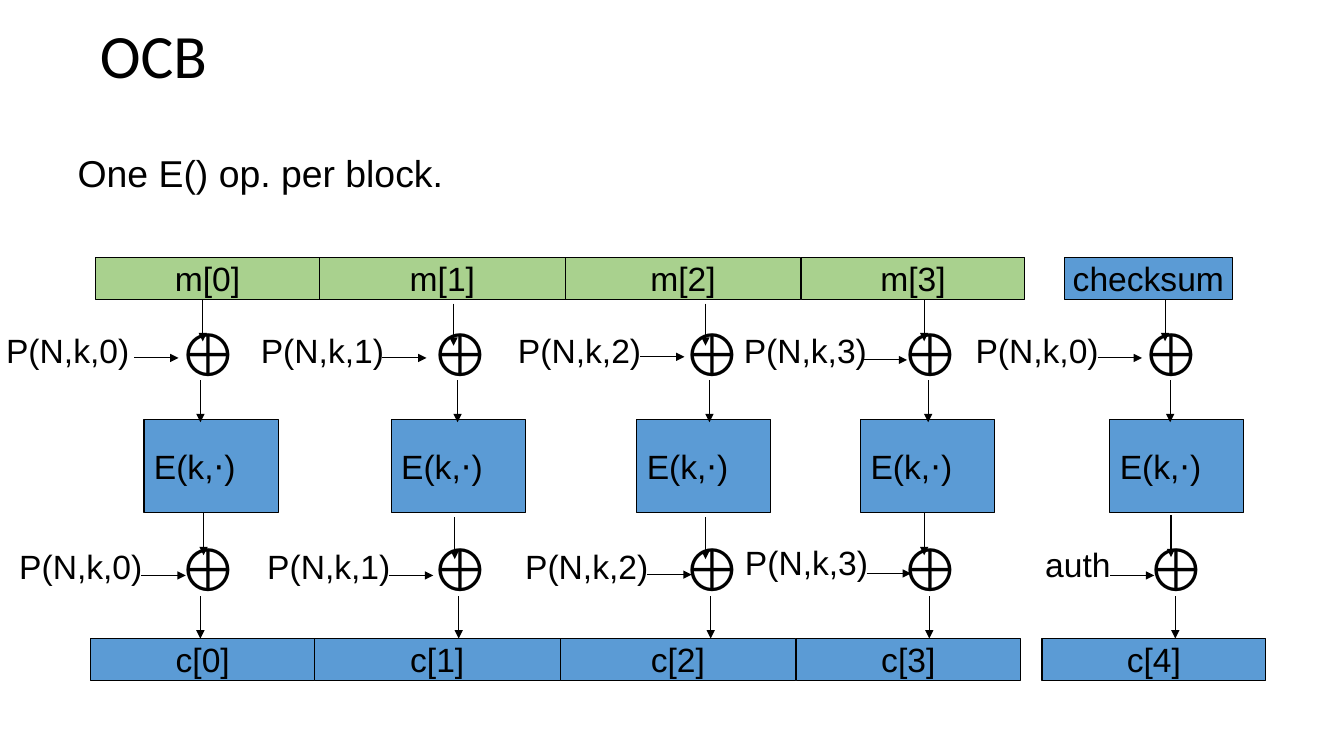
from dataclasses import dataclass

from lxml import etree
from pptx import Presentation
from pptx.dml.color import RGBColor
from pptx.enum import shapes, text
from pptx.oxml import ns
from pptx.util import Cm, Pt

TITLE = "OCB"
SUMMARY = "One E() op. per block."
XOR, CIPHER = "⊕", "E(k,⋅)"


@dataclass
class Theme:
    ink: str = "000000"
    plain: str = "A9D18E"
    secret: str = "5B9BD5"
    title: float = 44
    body: float = 26.7
    label: float = 24
    symbol: float = 42.7
    line: float = 0.75
    head_font: str = "Calibri"
    font: str = "Arial"


T = Theme()

# Each entry of a list belongs to one block of the message.
INPUTS = [("m[0]", 2.41, 5.64), ("m[1]", 8.05, 6.2), ("m[2]", 14.25, 5.93),
          ("m[3]", 20.19, 5.64), ("checksum", 26.82, 4.24)]
OUTPUTS = [("c[0]", 2.29, 5.64), ("c[1]", 7.92, 6.2), ("c[2]", 14.12, 5.93),
           ("c[3]", 20.07, 5.64), ("c[4]", 26.26, 5.64)]
CIPHER_X = [3.63, 9.86, 16.05, 21.69, 27.97]
XOR_ROWS = [(7.85, [4.24, 10.59, 16.94, 22.45, 28.52]),
            (13.28, [4.24, 10.59, 16.94, 22.45, 28.65])]
DOWN_ARROWS = [
    [(5.11, 7.54), (11.43, 7.65), (17.78, 7.65), (23.29, 7.54), (29.36, 7.54)],
    [(x, 9.58) for x in (5.05, 11.53, 17.88, 23.39, 29.49)],
    [(5.13, 12.93), (11.46, 13.03), (17.78, 13.03), (23.29, 12.93), (29.51, 12.98)],
    [(x, 15.03) for x in (5.05, 11.56, 17.91, 23.42, 29.62)],
]
# Text, left, top and width of the label, then the start of its arrow.
OFFSETS = [
    ("P(N,k,0)", -0.15, 8.18, 3.66, 3.38, 9.02),
    ("P(N,k,1)", 6.27, 8.18, 3.66, 9.63, 9.02),
    ("P(N,k,2)", 12.75, 8.18, 3.66, 16.13, 8.99),
    ("P(N,k,3)", 18.44, 8.18, 3.66, 21.74, 9.07),
    ("P(N,k,0)", 24.28, 8.18, 3.66, 27.66, 9.02),
    ("P(N,k,0)", 0.18, 13.64, 3.66, 3.56, 14.5),
    ("P(N,k,1)", 6.43, 13.64, 3.66, 9.8, 14.5),
    ("P(N,k,2)", 12.93, 13.64, 3.66, 16.31, 14.48),
    ("P(N,k,3)", 18.47, 13.54, 3.66, 21.84, 14.45),
    ("auth", 26.06, 13.59, 2.18, 27.97, 14.5),
]
DOWN, ACROSS = (0, 1.06), (1.12, 0)
LEFT, CENTER, RIGHT = (text.PP_ALIGN.LEFT, text.PP_ALIGN.CENTER, text.PP_ALIGN.RIGHT)


def set_attrs(obj, values):
    for name, value in values.items():
        setattr(obj, name, value)


def place(sp, x, y, w, h):
    set_attrs(sp, {"left": Cm(x), "top": Cm(y), "width": Cm(w), "height": Cm(h)})


def write(sp, words, size, font=T.font, align=LEFT, frame=None, para=None):
    tf = sp.text_frame
    set_attrs(tf, {"word_wrap": False, **(frame or {})})
    p = tf.paragraphs[0]
    set_attrs(p, {"alignment": align, **(para or {})})
    r = p.add_run()
    r.text = words
    set_attrs(r.font, {"size": Pt(size), "name": font})
    r.font.color.rgb = RGBColor.from_string(T.ink)
    return p


def outline(line):
    line.color.rgb = RGBColor.from_string(T.ink)
    line.width = Pt(T.line)


def box(parent, words, x, y, w, h, fill, align=CENTER):
    sp = parent.add_shape(shapes.MSO_SHAPE.RECTANGLE, Cm(x), Cm(y), Cm(w), Cm(h))
    sp.shadow.inherit = False
    sp.fill.solid()
    sp.fill.fore_color.rgb = RGBColor.from_string(fill)
    outline(sp.line)
    write(sp, words, T.label, align=align,
          frame={"vertical_anchor": text.MSO_ANCHOR.MIDDLE})


def label(parent, words, x, y, w, h, size, align=LEFT):
    sp = parent.add_textbox(Cm(x), Cm(y), Cm(w), Cm(h))
    write(sp, words, size, align=align,
          frame={"auto_size": text.MSO_AUTO_SIZE.SHAPE_TO_FIT_TEXT})


def arrow(parent, x, y, step):
    dx, dy = step
    cx = parent.add_connector(shapes.MSO_CONNECTOR.STRAIGHT,
                              Cm(x), Cm(y), Cm(x + dx), Cm(y + dy))
    outline(cx.line)
    etree.SubElement(cx.line._get_or_add_ln(), ns.qn("a:tailEnd"), type="triangle")
    etree.SubElement(cx._element.spPr, ns.qn("a:effectLst"))


def headings(s):
    title, body = s.placeholders
    place(title, 2.26, 0.43, 30.48, 2.11)
    write(title, TITLE, T.title, T.head_font,
          frame={"word_wrap": True, "vertical_anchor": text.MSO_ANCHOR.MIDDLE,
                 "auto_size": text.MSO_AUTO_SIZE.NONE},
          para={"line_spacing": 0.9})
    place(body, 1.7, 3.66, 30.48, 2.18)
    p = write(body, SUMMARY, T.body,
              frame={"word_wrap": True, "auto_size": text.MSO_AUTO_SIZE.NONE})
    pPr = p._p.get_or_add_pPr()
    pPr.set("marL", "0")
    pPr.set("indent", "0")
    etree.SubElement(pPr, ns.qn("a:buNone"))


def diagram(parent):
    for i, (words, x, w) in enumerate(INPUTS):
        fill = T.plain if i < len(INPUTS) - 1 else T.secret
        box(parent, words, x, 6.48, w, 1.06, fill)
    for words, x, w in OUTPUTS:
        box(parent, words, x, 16.09, w, 1.06, T.secret)
    for x in CIPHER_X:
        box(parent, CIPHER, x, 10.57, 3.38, 2.34, T.secret, LEFT)
    for y, columns in XOR_ROWS:
        for x in columns:
            label(parent, XOR, x, y, 1.68, 2.08, T.symbol)
    for row in DOWN_ARROWS:
        for x, y in row:
            arrow(parent, x, y, DOWN)
    for words, x, y, w, arrow_x, arrow_y in OFFSETS:
        group = parent.add_group_shape().shapes
        arrow(group, arrow_x, arrow_y, ACROSS)
        label(group, words, x, y, w, 1.3, T.label, RIGHT)


def main():
    prs = Presentation()
    set_attrs(prs, {"slide_width": Cm(33.87), "slide_height": Cm(19.05)})
    s = prs.slides.add_slide(prs.slide_layouts[1])
    headings(s)
    diagram(s.shapes)
    prs.save("out.pptx")


if __name__ == "__main__":
    main()
